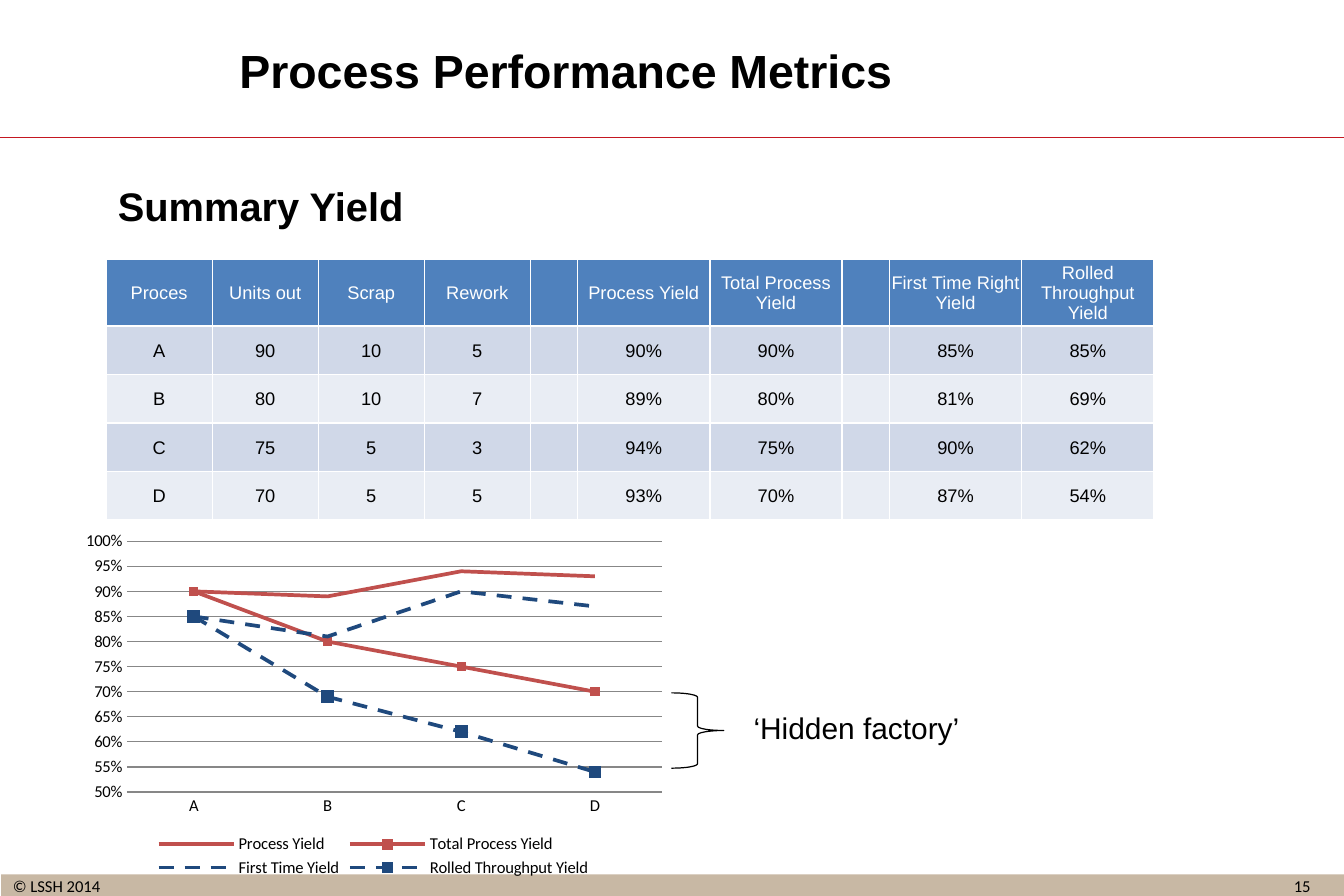
from lxml.etree import SubElement
from pptx import Presentation
from pptx.chart.data import CategoryChartData
from pptx.dml.color import RGBColor
from pptx.enum.chart import XL_CHART_TYPE, XL_LEGEND_POSITION, XL_MARKER_STYLE, XL_TICK_MARK
from pptx.enum.dml import MSO_LINE
from pptx.enum.shapes import MSO_CONNECTOR, MSO_SHAPE
from pptx.enum.text import MSO_ANCHOR, PP_ALIGN
from pptx.oxml import parse_xml
from pptx.oxml.ns import nsdecls, qn
from pptx.util import Pt

RED, NAVY, GREY = "C0504D", "1F497D", "878787"


def color(value):
    return RGBColor.from_string(value)


def write(frame, text, size, hue="000000", align=PP_ALIGN.LEFT, font="Arial", bold=False, **frame_format):
    """Fill a text frame or table cell; frame_format holds its margins, anchor and wrap."""
    for name, value in frame_format.items():
        setattr(frame, name, value)
    para = getattr(frame, "text_frame", frame).paragraphs[0]
    para.alignment = align
    if not text:
        para.font.size = Pt(size)
        return
    span = para.add_run()
    span.text = text
    for name, value in {"size": Pt(size), "name": font, "bold": bold}.items():
        setattr(span.font, name, value)
    span.font.color.rgb = color(hue)


deck = Presentation()
deck.slide_width, deck.slide_height = Pt(810), Pt(540)
page = deck.slides.add_slide(deck.slide_layouts[6])
shapes = page.shapes

# Footer band and header rule
band = shapes.add_shape(MSO_SHAPE.RECTANGLE, Pt(0.72), Pt(527), Pt(810), Pt(14.4))
band.shadow.inherit = False
band.fill.solid()
band.fill.fore_color.rgb = color("C8B8A4")
band.line.fill.background()

rule = shapes.add_connector(MSO_CONNECTOR.STRAIGHT, Pt(0), Pt(82.8), Pt(810), Pt(82.8))
rule.line.color.rgb = color("C41721")
rule.line.width = Pt(0.75)
SubElement(rule.element.spPr, qn("a:effectLst"))

# Texts
footer = {"font": "Calibri", "margin_top": 0, "margin_bottom": 0}
texts = [
    ("15", (758.9, 527.8, 51.8, 15.1), 10, {"align": PP_ALIGN.CENTER, "word_wrap": True, **footer}),
    ("© LSSH 2014", (0.72, 525.6, 114.5, 14.4), 10,
     {"vertical_anchor": MSO_ANCHOR.BOTTOM, "word_wrap": False, **footer}),
    ("Process Performance Metrics", (54, 18.7, 573.8, 47.5), 28,
     {"align": PP_ALIGN.CENTER, "bold": True, "vertical_anchor": MSO_ANCHOR.MIDDLE, "word_wrap": True}),
    ("Summary Yield", (64, 105.8, 701.3, 40), 24, {"bold": True, "word_wrap": True}),
    ("‘Hidden factory’", (447.1, 424.1, 191.5, 28.8), 18, {"word_wrap": True}),
]
for text, place, size, text_format in texts:
    box = shapes.add_textbox(*map(Pt, place))
    write(box.text_frame, text, size, **text_format)

# Yield chart
processes = ["A", "B", "C", "D"]
series_styles = [
    ("Process Yield", (0.9, 0.89, 0.94, 0.93), RED, None, None),
    ("Total Process Yield", (0.9, 0.8, 0.75, 0.7), RED, None, 5),
    ("First Time Yield", (0.85, 0.81, 0.9, 0.87), NAVY, MSO_LINE.DASH, None),
    ("Rolled Throughput Yield", (0.85, 0.69, 0.62, 0.54), NAVY, MSO_LINE.DASH, 7),
]
yields = CategoryChartData(number_format="0%")
yields.categories = processes
for name, values, *_ in series_styles:
    yields.add_series(name, values)
chart = shapes.add_chart(XL_CHART_TYPE.LINE_MARKERS, Pt(43.9), Pt(315.4), Pt(362.2), Pt(216), yields).chart
chart.has_title = False
chart.font.size, chart.font.name = Pt(10), "Calibri"
chart.font.color.rgb = color("000000")
chart.plots[0].vary_by_categories = False

for series, (_, _, hue, dash, marker_size) in zip(chart.series, series_styles):
    series.smooth = False
    line = series.format.line
    line.width, line.dash_style = Pt(2.25), dash
    line.color.rgb = color(hue)
    if marker_size is None:
        series.marker.style = XL_MARKER_STYLE.NONE
        continue
    series.marker.style, series.marker.size = XL_MARKER_STYLE.SQUARE, marker_size
    series.marker.format.fill.solid()
    series.marker.format.fill.fore_color.rgb = color(hue)
    series.marker.format.line.color.rgb = color(hue)

value_axis, category_axis = chart.value_axis, chart.category_axis
scale = {"minimum_scale": 0.5, "maximum_scale": 1, "major_unit": 0.05, "has_major_gridlines": True}
for name, value in scale.items():
    setattr(value_axis, name, value)
value_axis.tick_labels.number_format = "0%"
value_axis.tick_labels.number_format_is_linked = False
value_axis.format.line.fill.background()
for axis in (value_axis, category_axis):
    axis.major_tick_mark = axis.minor_tick_mark = XL_TICK_MARK.NONE
for line in (value_axis.major_gridlines.format.line, category_axis.format.line):
    line.color.rgb = color(GREY)
    line.width = Pt(0.75)

chart.has_legend = True
chart.legend.position = XL_LEGEND_POSITION.BOTTOM
chart.legend.include_in_layout = False
plot_area = chart.element.chart.plotArea
for old in plot_area.findall(qn("c:layout")):
    plot_area.remove(old)
for parent, index, target, (x, y, w, h) in [
    (plot_area, 0, '<c:layoutTarget val="inner"/>', (0.09, 0.05, 0.89, 0.7)),
    (chart.legend._element, 1, "", (0.13, 0.86, 0.74, 0.13)),
]:
    parent.insert(index, parse_xml(
        f'<c:layout {nsdecls("c")}><c:manualLayout>{target}'
        f'<c:xMode val="edge"/><c:yMode val="edge"/><c:x val="{x}"/><c:y val="{y}"/>'
        f'<c:w val="{w}"/><c:h val="{h}"/></c:manualLayout></c:layout>'))

brace = shapes.add_shape(MSO_SHAPE.RIGHT_BRACE, Pt(404.6), Pt(417.6), Pt(31.7), Pt(45.4))
brace.shadow.inherit = False
brace.fill.background()
brace.line.color.rgb = color("000000")
brace.line.width = Pt(0.75)

# Yield table
rows = [
    ["Proces", "Units out", "Scrap", "Rework", "", "Process Yield", "Total Process Yield", "",
     "First Time Right Yield", "Rolled Throughput Yield"],
    ["A", "90", "10", "5", "", "90%", "90%", "", "85%", "85%"],
    ["B", "80", "10", "7", "", "89%", "80%", "", "81%", "69%"],
    ["C", "75", "5", "3", "", "94%", "75%", "", "90%", "62%"],
    ["D", "70", "5", "5", "", "93%", "70%", "", "87%", "54%"],
]
widths = [63.9] * 4 + [28.6, 79.7, 79.7] * 2
heights = [40.4] + [29.2] * 4
table = shapes.add_table(len(rows), len(widths), Pt(64), Pt(156.2), Pt(sum(widths)), Pt(sum(heights))).table
for column, width in zip(table.columns, widths):
    column.width = Pt(width)
cell_format = {"vertical_anchor": MSO_ANCHOR.MIDDLE, "margin_left": Pt(0.7), "margin_right": Pt(0.7),
               "margin_top": Pt(0.7), "margin_bottom": 0}
for r, row in enumerate(rows):
    table.rows[r].height = Pt(heights[r])
    fill = "4F81BD" if r == 0 else ("E9EDF4", "D0D8E8")[r % 2]
    for c, text in enumerate(row):
        cell = table.cell(r, c)
        write(cell, text, 11, "FFFFFF" if r == 0 else "000000", PP_ALIGN.CENTER, **cell_format)
        for side in ("lnL", "lnR", "lnT", "lnB"):
            edge = SubElement(cell._tc.get_or_add_tcPr(), qn(f"a:{side}"), w=str(Pt(1)))
            SubElement(SubElement(edge, qn("a:solidFill")), qn("a:srgbClr"), val="FFFFFF")
        cell.fill.solid()
        cell.fill.fore_color.rgb = color(fill)

deck.save("out.pptx")
